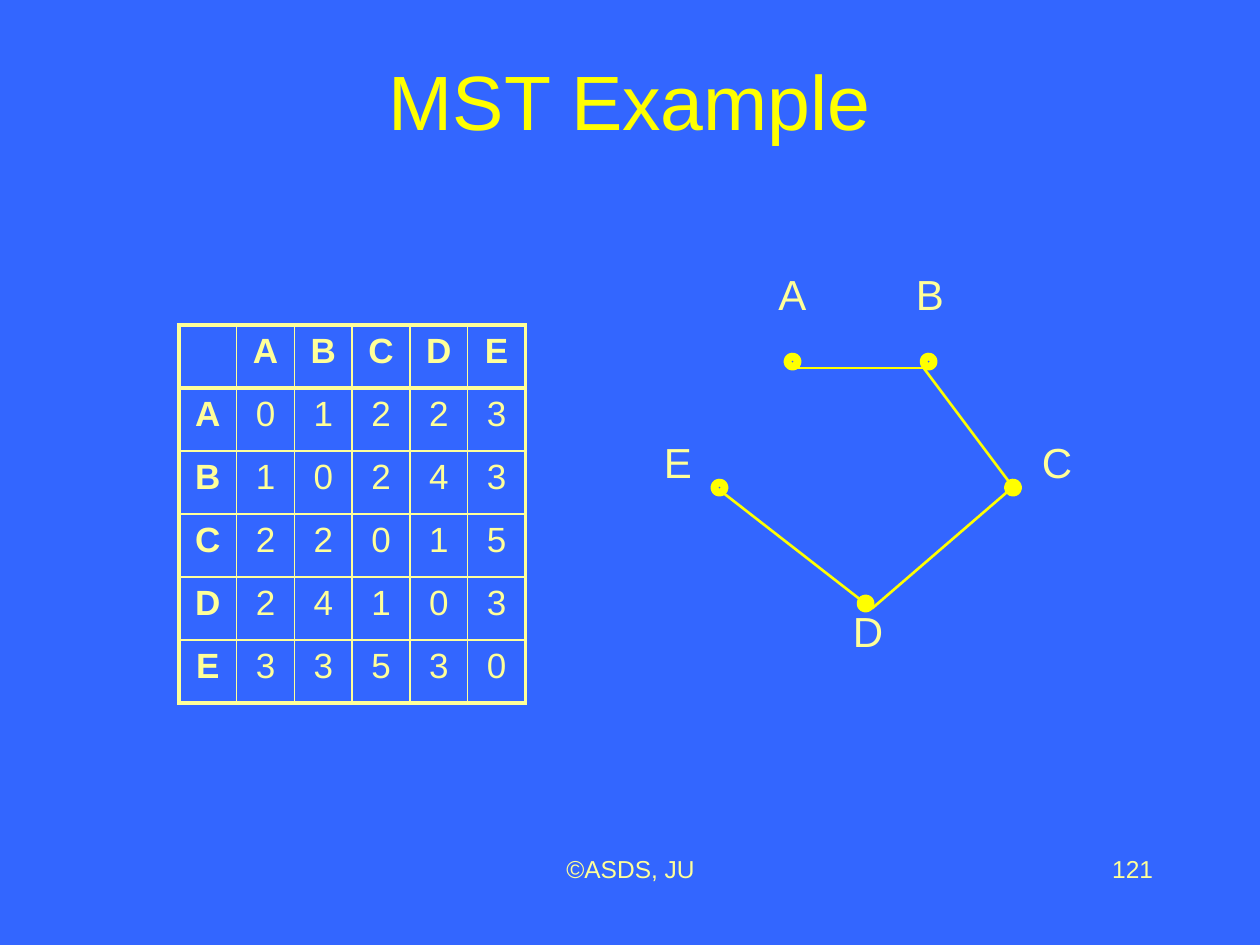
import pptx
import pptx.dml.color
import pptx.enum.shapes
import pptx.enum.text
import pptx.oxml
import pptx.oxml.ns
import pptx.util

Inches = pptx.util.Inches
Pt = pptx.util.Pt
Align = pptx.enum.text.PP_ALIGN
Anchor = pptx.enum.text.MSO_ANCHOR

COLORS = {"background": "3366FF", "accent": "FFFF00", "text": "FFFF99"}
FONT = "Arial"
VERTICES = "ABCDE"
WEIGHTS = ["01223", "10243", "22015", "24103", "33530"]
NODES = [(6.25, 2.83), (7.33, 2.83), (8, 3.83), (5.67, 3.83), (6.83, 4.75)]
LABELS = [
    ("B", 7.17, 2.25, 0.42, False),
    ("A", 6.08, 2.25, 0.42, False),
    ("E", 5.17, 3.58, 0.5, True),
    ("C", 8.17, 3.58, 0.5, True),
    ("D", 6.67, 4.92, 0.5, True),
]
EDGES = [
    ((6.33, 2.92), (7.33, 2.92)),
    ((6.92, 4.83), (8.08, 3.83)),
    ((7.33, 2.92), (8.08, 3.92)),
    ((5.75, 3.92), (6.92, 4.83)),
]


class Painter:
    def __init__(self, page):
        self.page = page
        fill = page.background.fill
        fill.solid()
        fill.fore_color.rgb = self.color("background")

    def color(self, name):
        return pptx.dml.color.RGBColor.from_string(COLORS[name])

    def span(self, para, text, size, color="text", bold=False, align=None):
        para.alignment = align
        span = para.add_run()
        span.text = text
        span.font.name = FONT
        span.font.size = Pt(size)
        span.font.bold = bold
        span.font.color.rgb = self.color(color)

    def text(self, text, at, size, color="text", align=None, spacing=None):
        box = self.page.shapes.add_textbox(*map(Inches, at))
        frame = box.text_frame
        frame.word_wrap = True
        para = frame.paragraphs[0]
        para.line_spacing = spacing
        self.span(para, text, size, color, align=align)
        return frame

    def label(self, text, left, top, width, wrap):
        frame = self.text(text, (left, top, width, 0.5), 24, spacing=0.3)
        frame.word_wrap = wrap
        frame.margin_top = Inches(0.12)
        frame.auto_size = pptx.enum.text.MSO_AUTO_SIZE.SHAPE_TO_FIT_TEXT

    def node(self, left, top):
        size = Inches(0.08)
        dot = self.page.shapes.add_shape(
            pptx.enum.shapes.MSO_SHAPE.OVAL, Inches(left), Inches(top), size, size)
        dot.shadow.inherit = False
        dot.fill.background()
        dot.line.color.rgb = self.color("accent")
        dot.line.width = Pt(4.5)

    def edge(self, start, end):
        line = self.page.shapes.add_connector(
            pptx.enum.shapes.MSO_CONNECTOR.STRAIGHT, *map(Inches, start + end))
        line.line.color.rgb = self.color("accent")
        line.line.width = Pt(1.5)
        line._element.spPr.append(pptx.oxml.parse_xml(
            f'<a:effectLst {pptx.oxml.ns.nsdecls("a")}/>'))

    def border(self, cell, side, width):
        cell._tc.get_or_add_tcPr().append(pptx.oxml.parse_xml(
            f'<a:ln{side} {pptx.oxml.ns.nsdecls("a")} w="{Pt(width)}">'
            f'<a:solidFill><a:srgbClr val="{COLORS["text"]}"/></a:solidFill>'
            f'</a:ln{side}>'))

    def matrix(self, names, weights, at):
        rows = [" " + names] + [name + row for name, row in zip(names, weights)]
        count = len(rows)
        last = count - 1
        table = self.page.shapes.add_table(count, count, *map(Inches, at)).table
        table.first_row = table.horz_banding = False
        for r, row in enumerate(rows):
            for c, text in enumerate(row):
                cell = table.cell(r, c)
                self.border(cell, "L", 2.25 if c == 0 else 1)
                self.border(cell, "R", 2.25 if c == last else 1)
                self.border(cell, "T", {0: 2.25, 1: 3}.get(r, 1))
                self.border(cell, "B", {0: 3, last: 2.25}.get(r, 1))
                cell.fill.background()
                if text.strip():
                    self.span(cell.text_frame.paragraphs[0], text, 20,
                              bold=r == 0 or c == 0, align=Align.CENTER)


def main():
    deck = pptx.Presentation()
    deck.slide_width = Inches(10)
    deck.slide_height = Inches(7.5)
    painter = Painter(deck.slides.add_slide(deck.slide_layouts[6]))

    painter.text("©ASDS, JU", (3.42, 6.83, 3.17, 0.5), 14,
                 align=Align.CENTER, spacing=0.5)
    painter.text("121", (7.17, 6.83, 2.08, 0.5), 14,
                 align=Align.RIGHT, spacing=0.5)
    title = painter.text("MST Example", (0.75, 0, 8.5, 1.58), 44, "accent",
                         Align.CENTER)
    title.vertical_anchor = Anchor.MIDDLE
    painter.matrix(VERTICES, WEIGHTS, (1.42, 2.58, 2.75, 3))
    for node in NODES:
        painter.node(*node)
    for label in LABELS:
        painter.label(*label)
    for edge in EDGES:
        painter.edge(*edge)

    deck.save("out.pptx")


if __name__ == "__main__":
    main()
